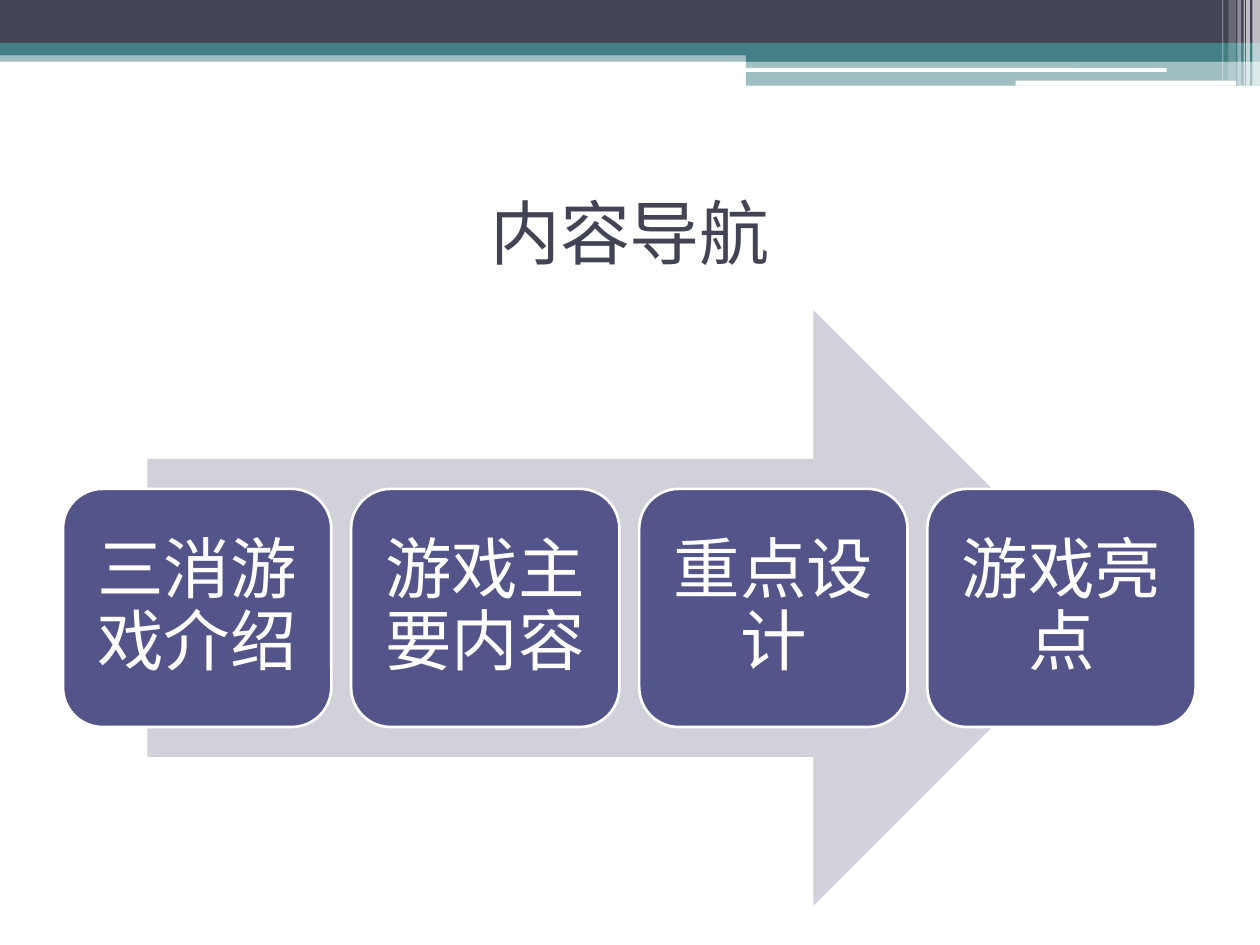
"""Build a navigation slide: four topic cards lying on a wide arrow."""
from dataclasses import dataclass

from lxml import etree
from pptx import Presentation
from pptx.dml.color import RGBColor
from pptx.enum import shapes, text
from pptx.oxml import ns
from pptx.util import Inches, Pt


@dataclass(frozen=True)
class Theme:
    navy: str = "424456"
    teal: str = "438086"
    white: str = "FFFFFF"
    arrow: str = "D1D1DA"
    card: str = "53548A"
    title_font: str = "Karla"
    card_font: str = "TeX Gyre Schola"
    title_size: int = 40
    card_size: int = 38
    card_line: float = 1.5


THEME = Theme()


@dataclass(frozen=True)
class Block:
    left: float
    top: float
    width: float
    height: float
    color: str
    opacity: int = 100
    kind: shapes.MSO_SHAPE = shapes.MSO_SHAPE.RECTANGLE


ROUNDED = shapes.MSO_SHAPE.ROUNDED_RECTANGLE
BANNER = [
    Block(0, 0.4, 10, 0.09, THEME.teal, 50),
    Block(0, 0, 10, 0.34, THEME.navy),
    Block(0, 0.34, 10, 0.1, THEME.teal),
    Block(5.92, 0.39, 4.08, 0.1, THEME.teal),
    Block(5.92, 0.48, 4.08, 0.2, THEME.teal, 50),
    Block(5.91, 0.54, 3.35, 0.03, THEME.white, kind=ROUNDED),
    Block(8.06, 0.64, 1.75, 0.04, THEME.white, kind=ROUNDED),
    Block(9.94, 0, 0.06, 0.68, THEME.white, 65),
    Block(9.89, 0, 0.03, 0.68, THEME.white, 65),
    Block(9.87, 0, 0.01, 0.68, THEME.white, 60),
    Block(9.82, 0, 0.03, 0.68, THEME.white, 40),
    Block(9.75, 0, 0.06, 0.64, THEME.white, 20),
    Block(9.7, 0, 0.01, 0.64, THEME.white, 30),
]
ARROW = Block(1.17, 2.46, 7.65, 4.73, THEME.arrow, kind=shapes.MSO_SHAPE.RIGHT_ARROW)
TOPICS = ["三消游戏介绍", "游戏主要内容", "重点设计", "游戏亮点"]
CARDS_LEFT, CARDS_RIGHT, CARDS_TOP = 0.5, 9.49, 3.88
CARD_WIDTH, CARD_HEIGHT, CARD_INSET = 2.13, 1.89, 0.16


def set_attributes(target, values: dict) -> None:
    """Set every named attribute on the target."""
    for name, value in values.items():
        setattr(target, name, value)


def draw_block(slide, block: Block):
    """Draw a flat, borderless preset shape and return it."""
    box = (block.left, block.top, block.width, block.height)
    shape = slide.shapes.add_shape(block.kind, *map(Inches, box))
    shape.shadow.inherit = False
    shape.line.fill.background()
    shape.fill.solid()
    shape.fill.fore_color.rgb = RGBColor.from_string(block.color)
    if block.opacity < 100:
        color = shape.fill._xPr.find(ns.qn("a:solidFill"))[0]
        etree.SubElement(color, ns.qn("a:alpha"), val=str(block.opacity * 1000))
    return shape


def write_text(shape, words: str, font: str, size: int, color: str, inset: float | None = None) -> None:
    """Write one centred paragraph in the shape."""
    frame = shape.text_frame
    frame.text = words
    set_attributes(frame, {
        "word_wrap": True,
        "auto_size": text.MSO_AUTO_SIZE.NONE,
        "vertical_anchor": text.MSO_ANCHOR.MIDDLE,
    })
    if inset is not None:
        sides = ("left", "top", "right", "bottom")
        set_attributes(frame, {f"margin_{side}": Inches(inset) for side in sides})
    paragraph = frame.paragraphs[0]
    paragraph.alignment = text.PP_ALIGN.CENTER
    set_attributes(paragraph.runs[0].font, {"name": font, "size": Pt(size)})
    paragraph.runs[0].font.color.rgb = RGBColor.from_string(color)


def draw_card(slide, left: float, topic: str) -> None:
    """Draw one outlined topic card."""
    card = draw_block(slide, Block(left, CARDS_TOP, CARD_WIDTH, CARD_HEIGHT, THEME.card, kind=ROUNDED))
    card.line.color.rgb = RGBColor.from_string(THEME.white)
    card.line.width = Pt(THEME.card_line)
    write_text(card, topic, THEME.card_font, THEME.card_size, THEME.white, CARD_INSET)
    card.text_frame.paragraphs[0].line_spacing = 0.9


def main() -> None:
    """Build and save the presentation."""
    presentation = Presentation()
    set_attributes(presentation, {"slide_width": Inches(10), "slide_height": Inches(7.5)})
    slide = presentation.slides.add_slide(presentation.slide_layouts.get_by_name("Title Only"))
    title = slide.shapes.title
    set_attributes(title, {
        "left": Inches(0.5), "top": Inches(1.25), "width": Inches(9), "height": Inches(1.17),
    })
    write_text(title, "内容导航", THEME.title_font, THEME.title_size, THEME.navy)
    for block in [*BANNER, ARROW]:
        draw_block(slide, block)
    pitch = (CARDS_RIGHT - CARD_WIDTH - CARDS_LEFT) / (len(TOPICS) - 1)
    for index, topic in enumerate(TOPICS):
        draw_card(slide, CARDS_LEFT + index * pitch, topic)
    presentation.save("out.pptx")


if __name__ == "__main__":
    main()
